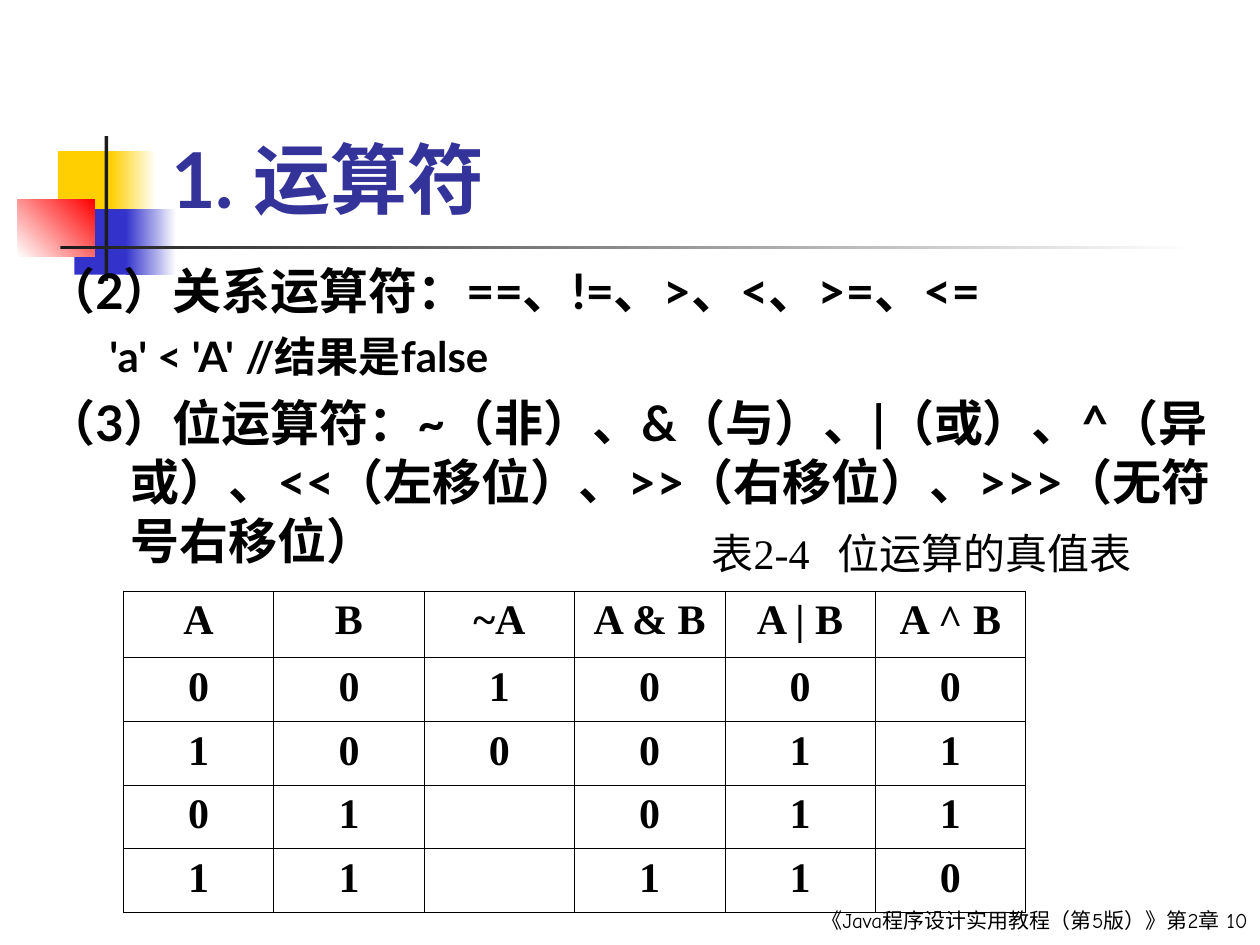
from dataclasses import dataclass
from lxml import etree
from pptx import Presentation
from pptx import util as u
from pptx.dml import color
from pptx.enum import text as t
from pptx.enum import shapes as s
from pptx.oxml import ns


@dataclass(frozen=True)
class Theme:
    ink: str = "000000"
    heading: str = "333399"
    yellow: str = "FFCF01"
    blue: str = "3333CC"
    red: str = "FF0000"
    charcoal: str = "1C1C1C"
    white: str = "FFFFFF"
    sans: str = "Lato"
    serif: str = "Times New Roman"
    cjk: str = "Noto Sans CJK SC"
    hand: str = "Comic Neue"
    title_size: int = 44
    body_size: int = 28
    detail_size: int = 24
    footer_size: int = 12
    thin: float = 0.45
    edge: float = 0.34
    rule: float = 0.96


def rgb(code):
    return color.RGBColor.from_string(code)


def assign(target, values):
    for name, value in values.items():
        setattr(target, name, value)


def sub(parent, tag, **attributes):
    return etree.SubElement(parent, ns.qn(tag), attributes)


class SlideBuilder:
    def __init__(self, slide, theme):
        self.slide = slide
        self.theme = theme

    def bar(self, box, start, end=None, angle=0):
        bar = self.slide.shapes.add_shape(s.MSO_SHAPE.RECTANGLE, *map(u.Inches, box))
        bar.shadow.inherit = False
        bar.line.fill.background()
        if end is None:
            bar.fill.solid()
            bar.fill.fore_color.rgb = rgb(start)
            return
        bar.fill.gradient()
        bar.fill.gradient_angle = angle
        for stop, code, position in zip(bar.fill.gradient_stops, (start, end), (0, 1)):
            assign(stop, {"position": position})
            stop.color.rgb = rgb(code)

    def run(self, paragraph, words, face, size, bold=False, code=None):
        run = paragraph.add_run()
        run.text = words
        assign(run.font, {"name": face, "size": u.Pt(size), "bold": bold})
        run.font.color.rgb = rgb(code or self.theme.ink)
        sub(run.font._element, "a:ea", typeface=face)

    def layout(self, paragraph, margin=0, indent=0, before=0, tab=None):
        assign(paragraph, {"space_before": u.Pt(before)})
        properties = paragraph._p.get_or_add_pPr()
        properties.set("marL", str(u.Inches(margin)))
        properties.set("indent", str(u.Inches(indent)))
        if tab is not None:
            stops = sub(properties, "a:tabLst")
            sub(stops, "a:tab", pos=str(u.Inches(tab)), algn="l")

    def title(self, box, words):
        title = self.slide.shapes.title
        assign(title, dict(zip(("left", "top", "width", "height"), map(u.Inches, box))))
        assign(title.text_frame, {
            "vertical_anchor": t.MSO_ANCHOR.BOTTOM,
            "auto_size": t.MSO_AUTO_SIZE.NONE,
            "word_wrap": True,
        })
        heading = title.text_frame.paragraphs[0]
        heading.alignment = t.PP_ALIGN.LEFT
        self.run(heading, words, self.theme.sans, self.theme.title_size, True, self.theme.heading)
        self.slide.shapes.element.append(title.element)

    def frame(self, box, anchor=t.MSO_ANCHOR.TOP):
        frame = self.slide.shapes.add_textbox(*map(u.Inches, box)).text_frame
        assign(frame, {"word_wrap": True, "vertical_anchor": anchor})
        return frame

    def body(self, box, items):
        frame = self.frame(box)
        for index, (words, size, spacing) in enumerate(items):
            paragraph = frame.add_paragraph() if index else frame.paragraphs[0]
            self.layout(paragraph, **spacing)
            self.run(paragraph, words, self.theme.sans, size, True)

    def note(self, box, pieces, size, align, anchor=t.MSO_ANCHOR.TOP, tab=None):
        paragraph = self.frame(box, anchor).paragraphs[0]
        paragraph.alignment = align
        self.layout(paragraph, tab=tab)
        for words, face in pieces:
            self.run(paragraph, words, face, size)

    def borders(self, cell, widths):
        properties = cell._tc.get_or_add_tcPr()
        for side, width in zip("LRTB", widths):
            line = sub(properties, f"a:ln{side}", w=str(u.Pt(width)))
            sub(sub(line, "a:solidFill"), "a:srgbClr", val=self.theme.ink)

    def table(self, box, rows, header_height):
        theme = self.theme
        last_row, last_column = len(rows) - 1, len(rows[0]) - 1
        grid = self.slide.shapes.add_table(len(rows), len(rows[0]), *map(u.Inches, box)).table
        assign(grid, {"first_row": False, "horz_banding": False})
        for column in grid.columns:
            column.width = u.Inches(box[2] / len(rows[0]))
        for r, values in enumerate(rows):
            grid.rows[r].height = u.Inches((box[3] - header_height) / last_row if r else header_height)
            for c, value in enumerate(values):
                cell = grid.cell(r, c)
                self.borders(cell, (
                    theme.thin if c else theme.edge,
                    theme.edge if c == last_column else theme.thin,
                    theme.rule if r == 1 else theme.thin,
                    theme.thin if r else theme.rule,
                ))
                cell.fill.background()
                if value:
                    paragraph = cell.text_frame.paragraphs[0]
                    paragraph.alignment = t.PP_ALIGN.CENTER
                    self.run(paragraph, value, theme.serif, theme.detail_size, True)


def main():
    deck = Presentation()
    assign(deck, {"slide_width": u.Inches(10), "slide_height": u.Inches(7.5)})
    theme = Theme()
    page = SlideBuilder(deck.slides.add_slide(deck.slide_layouts[5]), theme)

    page.bar((0.46, 1.2, 0.48, 0.52), theme.yellow)
    page.bar((0.88, 1.2, 0.36, 0.52), theme.yellow, theme.white)
    page.bar((0.59, 1.66, 0.46, 0.52), theme.blue)
    page.bar((1, 1.66, 0.4, 0.52), theme.blue, theme.white)
    page.bar((0.14, 1.58, 0.61, 0.46), theme.white, theme.red, 45)
    page.bar((0.83, 1.08, 0.03, 1.15), theme.charcoal)
    page.bar((0.48, 1.95, 9, 0.03), theme.charcoal, theme.white)

    page.note((5.87, 7.15, 4.13, 0.35), [("《Java程序设计实用教程（第5版）》第2章 10", theme.hand)],
              theme.footer_size, t.PP_ALIGN.RIGHT)
    page.title((1.26, 0.91, 8.52, 0.92), "1. 运算符")

    hanging = {"margin": 0.67, "indent": -0.67}
    page.body((0.27, 2.02, 9.73, 2.84), [
        ("（2）关系运算符：==、!=、>、<、>=、<=", theme.body_size, hanging),
        ("'a' < 'A'\t//结果是false", theme.detail_size,
         {"margin": 1.08, "indent": -0.58, "before": 6, "tab": 3}),
        ("（3）位运算符：~（非）、&（与）、|（或）、^（异或）、<<（左移位）、>>（右移位）、>>>（无符号右移位）",
         theme.body_size, {**hanging, "before": 7}),
    ])
    page.note((5.55, 4.14, 3.7, 0.5),
              [("表", theme.cjk), ("2-4\t", theme.serif), ("位运算的真值表", theme.cjk)],
              theme.detail_size, t.PP_ALIGN.LEFT, t.MSO_ANCHOR.MIDDLE, 1.12)
    page.table((0.98, 4.69, 7.16, 2.55), [
        ("A", "B", "~A", "A & B", "A | B", "A ^ B"),
        ("0", "0", "1", "0", "0", "0"),
        ("1", "0", "0", "0", "1", "1"),
        ("0", "1", "", "0", "1", "1"),
        ("1", "1", "", "1", "1", "0"),
    ], 0.53)
    deck.save("out.pptx")


if __name__ == "__main__":
    main()
